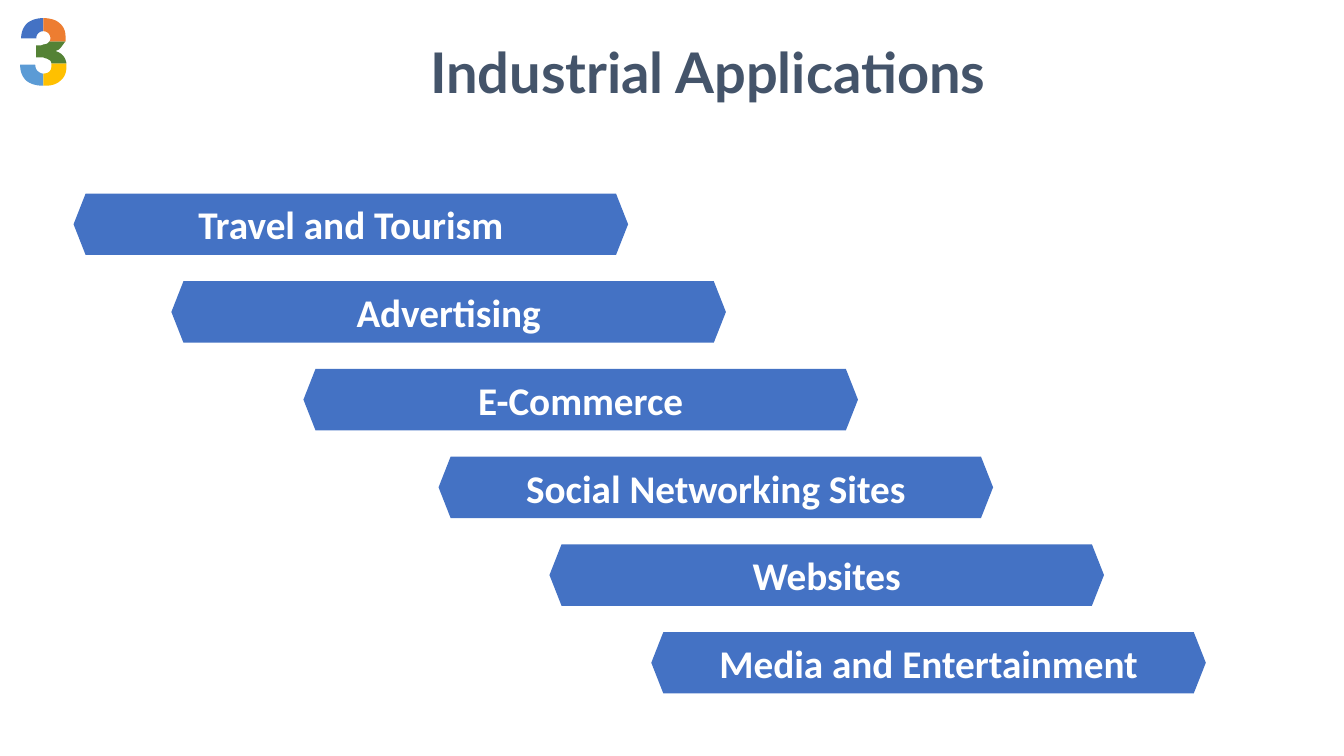
from dataclasses import dataclass

from pptx import Presentation
from pptx.dml.color import RGBColor
from pptx.enum.shapes import MSO_SHAPE
from pptx.enum.text import MSO_ANCHOR, MSO_AUTO_SIZE, PP_ALIGN
from pptx.util import Pt

PX = 9144


@dataclass(frozen=True)
class Theme:
    """Colours, fonts and type sizes of the slide."""

    title_color: str = "44546A"
    banner_fill: str = "4472C4"
    banner_text: str = "FFFFFF"
    title_font: str = "Lato"
    banner_font: str = "Calibri"
    title_size: int = 40
    banner_size: int = 28


THEME = Theme()

APPLICATIONS = [
    ("Travel and Tourism", 0),
    ("Advertising", 97),
    ("E-Commerce", 228),
    ("Social Networking Sites", 362),
    ("Websites", 472),
    ("Media and Entertainment", 573),
]

DIGIT_PIECES = [
    ("5B9BD5", [(23, 55), (21, 55, 19, 54, 17, 52), (16, 51, 15, 49, 15, 46), (0, 46),
                (0, 53, 2, 58, 6, 62), (10, 65, 15, 67, 22, 67), (23, 67)]),
    ("4472C4", [(7, 5), (3, 9, 1, 14, 1, 20), (16, 20), (16, 16, 19, 13, 23, 13),
                (23, 0), (16, 0, 11, 2, 7, 5)]),
    ("FFC000", [(31, 45), (31, 45, 31, 46, 31, 47), (31, 49, 31, 51, 29, 53),
                (28, 54, 26, 55, 23, 55), (23, 67), (26, 67), (32, 67, 37, 65, 40, 62),
                (44, 59, 46, 54, 46, 48), (46, 47, 46, 46, 46, 45)]),
    ("548235", [(36, 33), (36, 32), (38, 32, 40, 30, 42, 27), (43, 26, 44, 24, 45, 23),
                (29, 23), (28, 25, 26, 26, 23, 26), (22, 27, 21, 27, 19, 27), (16, 27),
                (16, 39), (19, 39), (21, 39, 22, 39, 23, 39), (25, 40, 27, 40, 28, 41),
                (30, 42, 31, 43, 31, 45), (46, 45), (45, 39, 42, 35, 36, 33)]),
    ("ED7D31", [(23, 13), (25, 13, 27, 14, 28, 15), (29, 16, 30, 18, 30, 20),
                (30, 21, 30, 22, 29, 23), (45, 23), (45, 21, 45, 20, 45, 18),
                (45, 13, 43, 8, 39, 5), (36, 2, 30, 0, 23, 0)]),
]


def paint(shape, color):
    """Give a shape a plain fill without outline or shadow."""
    shape.shadow.inherit = False
    shape.fill.solid()
    shape.fill.fore_color.rgb = RGBColor.from_string(color)
    shape.line.fill.background()


def write(shape, text, font, size, color):
    """Write one bold centred line into a shape."""
    frame = shape.text_frame
    frame.word_wrap = False
    paragraph = frame.paragraphs[0]
    paragraph.alignment = PP_ALIGN.CENTER
    run = paragraph.add_run()
    run.text = text
    run.font.name = font
    run.font.size = Pt(size)
    run.font.bold = True
    run.font.color.rgb = RGBColor.from_string(color)


def outline_points(outline, steps=8):
    """Turn line ends and cubic curves into a list of points."""
    points = [outline[0]]
    for segment in outline[1:]:
        if len(segment) == 2:
            points.append(segment)
            continue
        x0, y0 = points[-1]
        x1, y1, x2, y2, x3, y3 = segment
        for step in range(1, steps + 1):
            t = step / steps
            a, b, c, d = (1 - t) ** 3, 3 * t * (1 - t) ** 2, 3 * t * t * (1 - t), t ** 3
            points.append((a * x0 + b * x1 + c * x2 + d * x3,
                           a * y0 + b * y1 + c * y2 + d * y3))
    return points


def add_digit(slide, left, top):
    """Draw the coloured section number from its pieces."""
    group = slide.shapes.add_group_shape()
    for color, outline in DIGIT_PIECES:
        points = [((left + x) * PX, (top + y) * PX) for x, y in outline_points(outline)]
        builder = group.shapes.build_freeform(*points[0])
        builder.add_line_segments(points[1:])
        paint(builder.convert_to_shape(), color)


def add_title(slide, left, top, width, height):
    """Place the slide title."""
    box = slide.shapes.add_textbox(left * PX, top * PX, width * PX, height * PX)
    box.text_frame.auto_size = MSO_AUTO_SIZE.SHAPE_TO_FIT_TEXT
    write(box, "Industrial Applications", THEME.title_font, THEME.title_size,
          THEME.title_color)


def add_banners(slide, left, top, pitch=87, width=550, height=61, point=12):
    """Place the staircase of application banners."""
    for row, (label, indent) in enumerate(APPLICATIONS):
        banner = slide.shapes.add_shape(
            MSO_SHAPE.HEXAGON, (left + indent) * PX, (top + row * pitch) * PX,
            width * PX, height * PX)
        banner.adjustments[0] = point / height
        paint(banner, THEME.banner_fill)
        banner.text_frame.vertical_anchor = MSO_ANCHOR.MIDDLE
        write(banner, label, THEME.banner_font, THEME.banner_size, THEME.banner_text)


def main():
    """Build and save the presentation."""
    presentation = Presentation()
    presentation.slide_width = 1333 * PX
    presentation.slide_height = 750 * PX
    slide = presentation.slides.add_slide(presentation.slide_layouts[6])
    add_title(slide, 415, 32, 574, 77)
    add_digit(slide, 20, 18)
    add_banners(slide, 73, 192)
    presentation.save("out.pptx")


if __name__ == "__main__":
    main()
